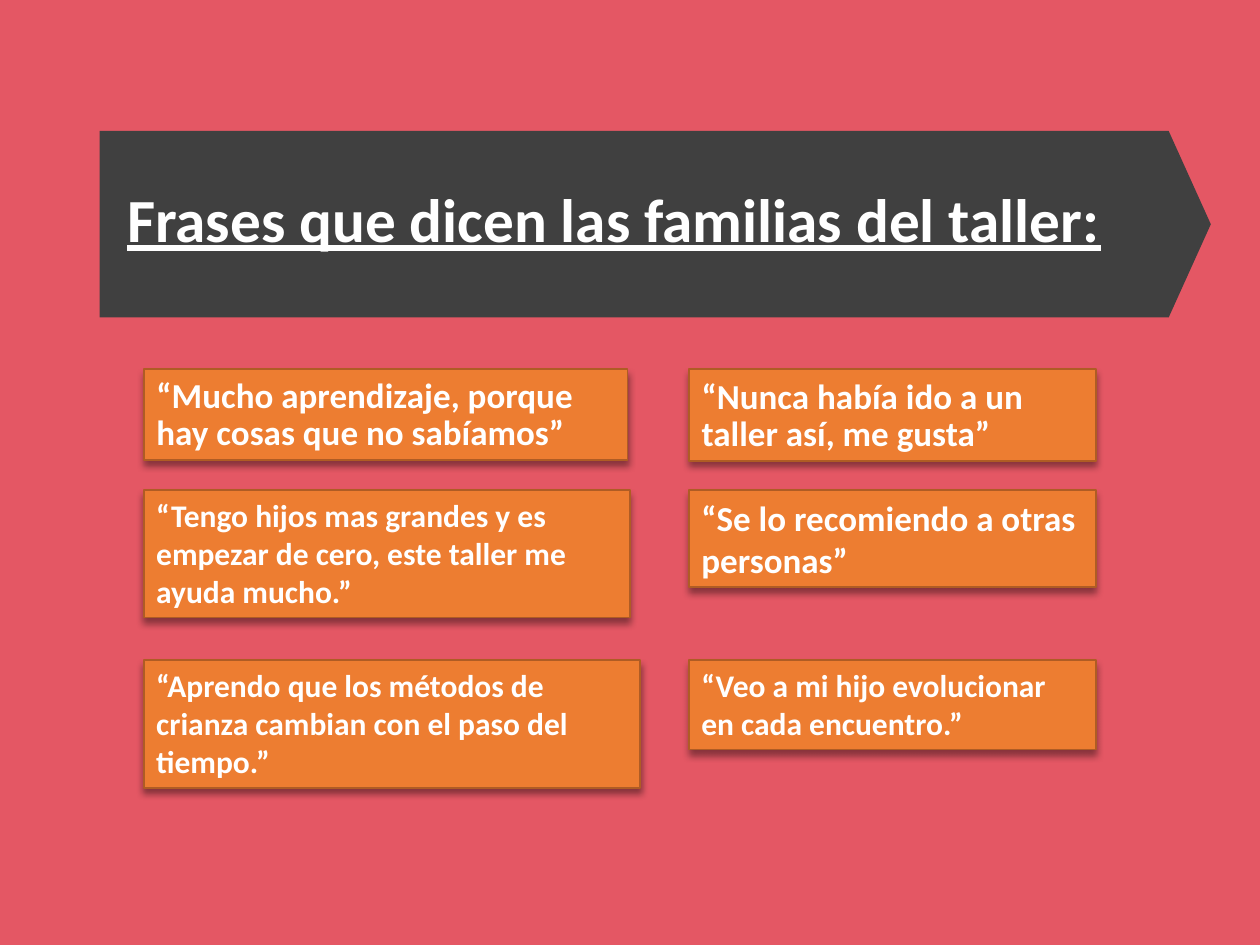
from lxml.etree import SubElement
from pptx import Presentation
from pptx.dml.color import RGBColor
from pptx.enum.shapes import MSO_SHAPE as Shape
from pptx.enum.text import MSO_ANCHOR as Anchor, MSO_AUTO_SIZE as AutoSize, PP_ALIGN as Align
from pptx.oxml.ns import qn
from pptx.util import Cm, Pt

CORAL = RGBColor(0xE4, 0x57, 0x64)
ORANGE = RGBColor(0xED, 0x7D, 0x31)
RUST = RGBColor(0xAF, 0x5C, 0x24)
CHARCOAL = RGBColor(0x40, 0x40, 0x40)
WHITE = RGBColor(0xFF, 0xFF, 0xFF)


def write(box, text, size, anchor, spacing=1.0, underline=None):
    frame = box.text_frame
    frame.word_wrap = True
    frame.vertical_anchor = anchor
    para = frame.paragraphs[0]
    para.alignment = Align.LEFT
    para.line_spacing = spacing
    span = para.add_run()
    span.text = text
    font = span.font
    font.name, font.size, font.bold = "Calibri", Pt(size), True
    font.underline = underline
    font.color.rgb = WHITE
    return para


def add_soft_shadow(box):
    box.shadow.inherit = False
    effects = box._element.spPr.find(qn("a:effectLst"))
    shadow = SubElement(effects, qn("a:outerShdw"), blurRad=str(Pt(4)), dist=str(Pt(3)),
                        dir="5400000", algn="t", rotWithShape="0")
    color = SubElement(shadow, qn("a:srgbClr"), val="000000")
    SubElement(color, qn("a:alpha"), val="40000")


deck = Presentation()
deck.slide_width, deck.slide_height = Cm(25.4), Cm(19.05)
page = deck.slides.add_slide(deck.slide_layouts.get_by_name("Comparison"))
page.background.fill.solid()
page.background.fill.fore_color.rgb = CORAL

holders = {holder.placeholder_format.idx: holder for holder in page.placeholders}
for unused in (2, 4):
    holders[unused]._element.getparent().remove(holders[unused]._element)

title = page.shapes.title
title.left, title.top, title.width, title.height = Cm(2.31), Cm(2.64), Cm(21.36), Cm(3.68)
write(title, "Frases que dicen las familias del taller:", 35, Anchor.MIDDLE, 0.9, True)
title.text_frame.auto_size = AutoSize.NONE

banner = page.shapes.add_shape(Shape.DOWN_ARROW, Cm(11.33), Cm(-6.68), Cm(3.76), Cm(22.4))
banner.rotation = 270
banner.adjustments[0], banner.adjustments[1] = 1, 0.226
banner.shadow.inherit = False
banner.fill.solid()
banner.fill.fore_color.rgb = CHARCOAL
banner.line.fill.background()
title._element.addprevious(banner._element)

LEFT, RIGHT = 2.9, 13.89
ROWS = (7.44, 9.88, 13.31)
quotes = [
    (holders[1], LEFT, ROWS[0], 9.75, 1.83, 20, "“Mucho aprendizaje, porque hay cosas que no sabíamos”"),
    (holders[3], RIGHT, ROWS[0], 8.2, 1.85, 20, "“Nunca había ido a un taller así, me gusta”"),
    (None, LEFT, ROWS[1], 9.8, 2.57, 18,
     "“Tengo hijos mas grandes y es empezar de cero, este taller me ayuda mucho.”"),
    (None, RIGHT, ROWS[1], 8.2, 1.96, 20, "“Se lo recomiendo a otras personas”"),
    (None, LEFT, ROWS[2], 10.01, 2.57, 18,
     "“Aprendo que los métodos de crianza cambian con el paso del tiempo.”"),
    (None, RIGHT, ROWS[2], 8.2, 1.8, 18, "“Veo a mi hijo evolucionar en cada encuentro.”"),
]
for holder, left, top, width, height, size, text in quotes:
    place = Cm(left), Cm(top), Cm(width), Cm(height)
    if holder:
        box = holder
        box.left, box.top, box.width, box.height = place
        para = write(box, text, size, Anchor.BOTTOM, 0.9)
        para.space_before = Pt(7.5)
        box.text_frame.auto_size = AutoSize.NONE
    else:
        box = page.shapes.add_shape(Shape.RECTANGLE, *place)
        write(box, text, size, Anchor.TOP)
        box.text_frame.auto_size = AutoSize.SHAPE_TO_FIT_TEXT
    box.fill.solid()
    box.fill.fore_color.rgb = ORANGE
    box.line.color.rgb = RUST
    box.line.width = Pt(1)
    add_soft_shadow(box)

deck.save("out.pptx")
